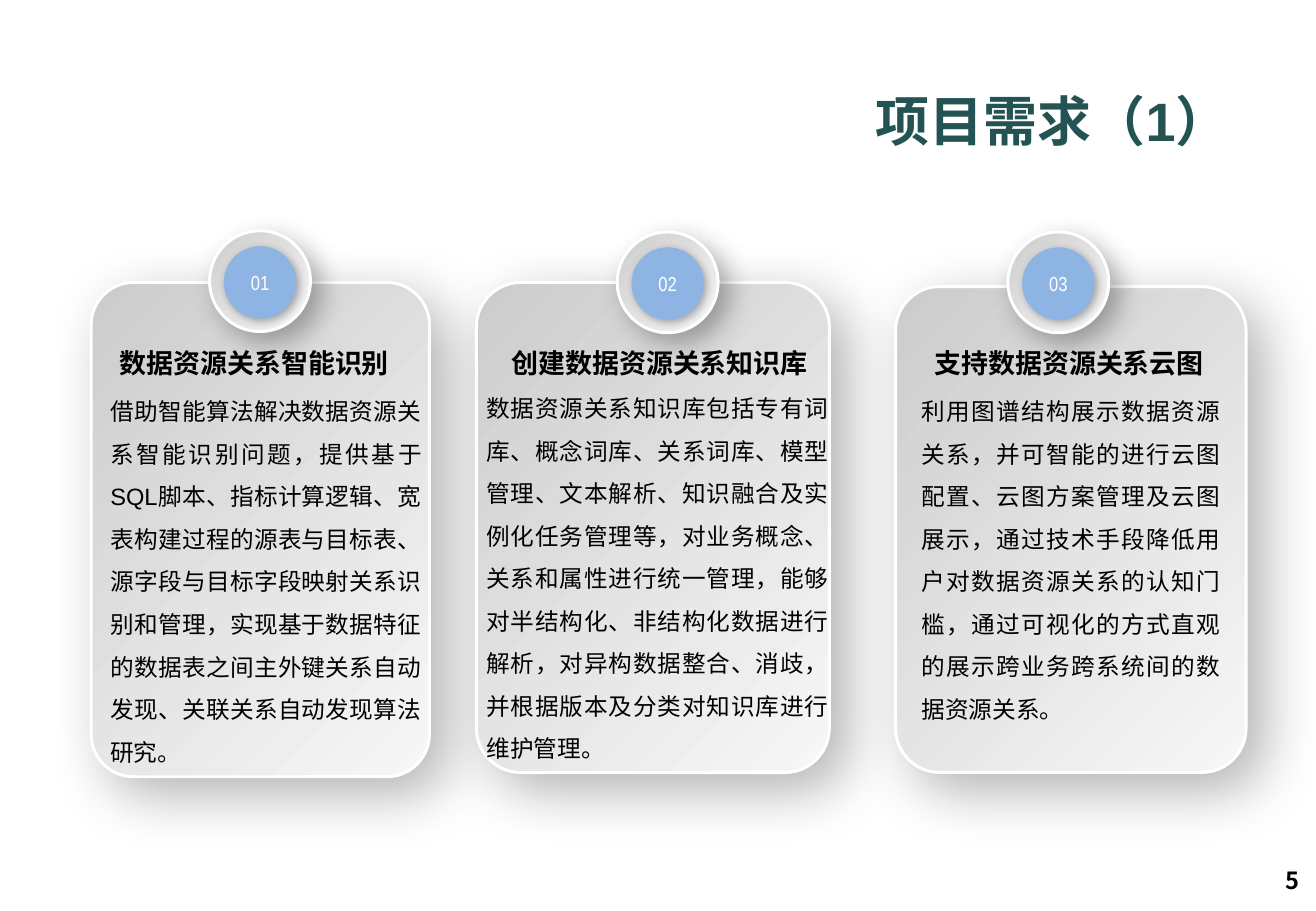
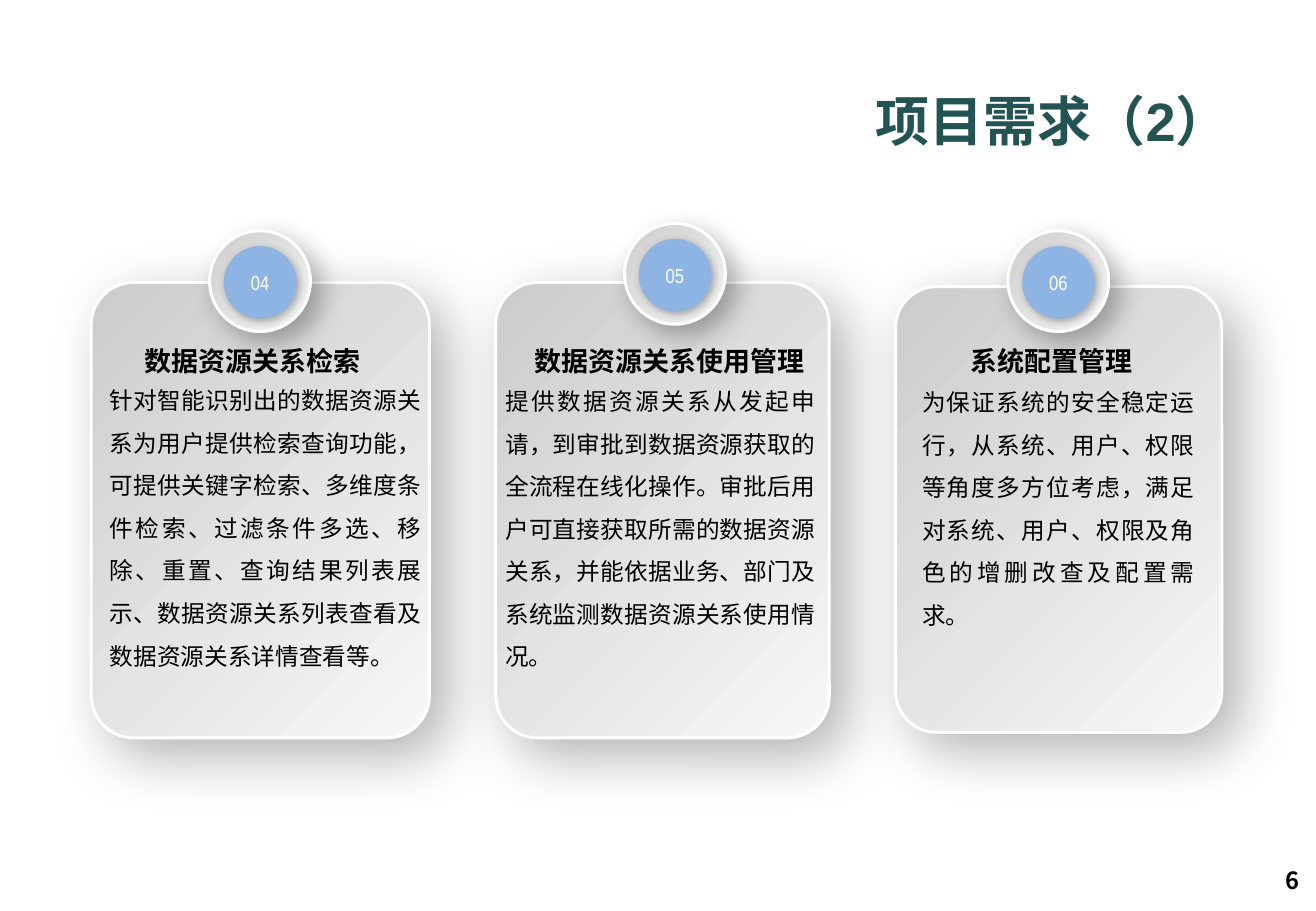
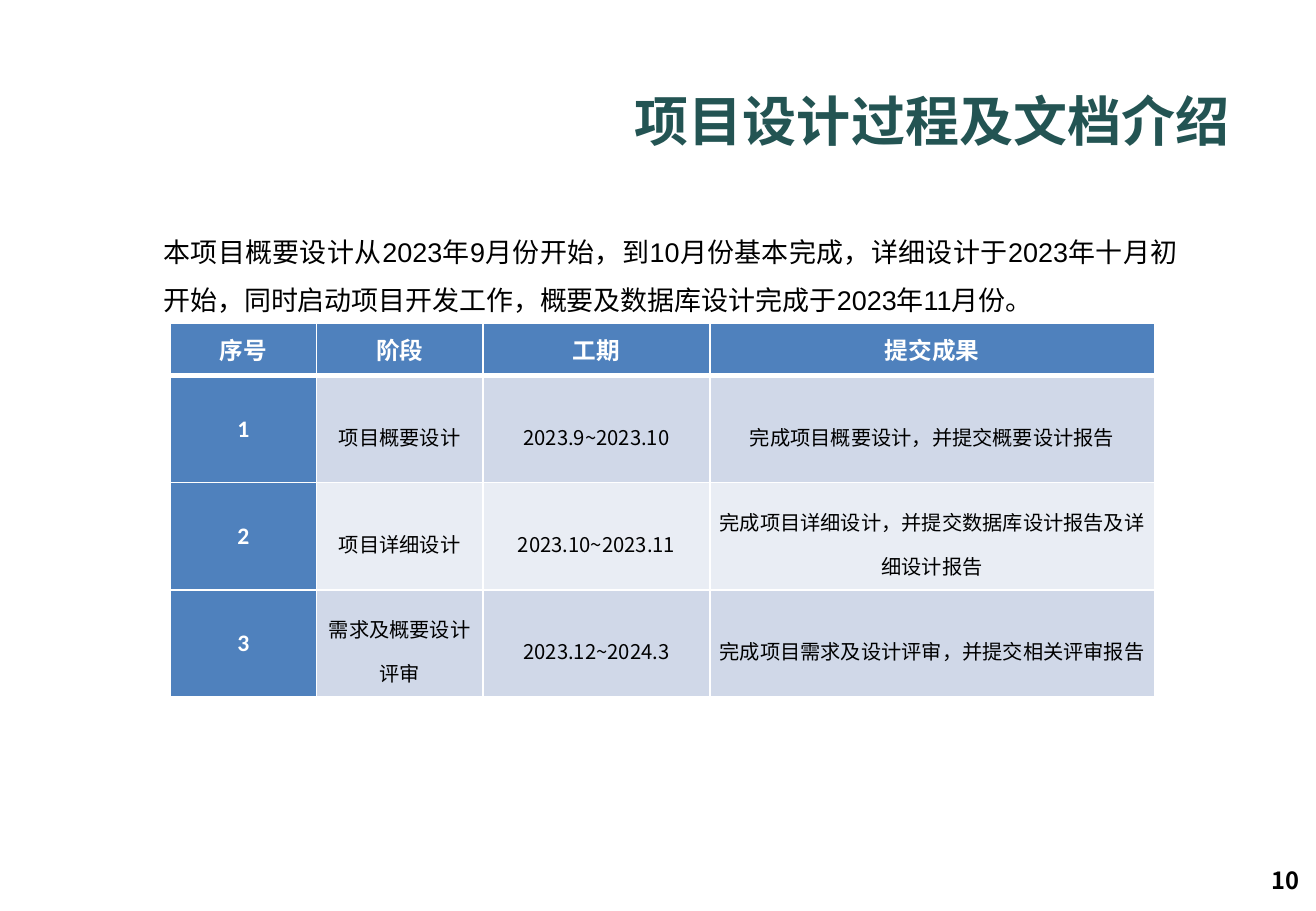
from dataclasses import dataclass, field
from typing import Any

from lxml import etree
from pptx import Presentation
from pptx.dml.color import RGBColor
from pptx.enum.shapes import MSO_SHAPE
from pptx.enum.text import MSO_ANCHOR, MSO_AUTO_SIZE, PP_ALIGN
from pptx.oxml.ns import qn
from pptx.util import Emu, Pt

LEFT, CENTER, RIGHT, JUSTIFY = PP_ALIGN.LEFT, PP_ALIGN.CENTER, PP_ALIGN.RIGHT, PP_ALIGN.JUSTIFY
TOP, MIDDLE = MSO_ANCHOR.TOP, MSO_ANCHOR.MIDDLE
NO_AUTOFIT = MSO_AUTO_SIZE.NONE
ROUNDED, OVAL = MSO_SHAPE.ROUNDED_RECTANGLE, MSO_SHAPE.OVAL

CELL = 91440
PAGE_COLUMNS, PAGE_ROWS = 108.3, 75
TITLE_AND_BODY, TITLE_ONLY = 1, 5

BLACK, WHITE = "000000", "FFFFFF"
TEAL, BADGE_BLUE, HEADER_BLUE = "235453", "8EB4E3", "4F81BD"
BANDS = ("D0D8E8", "E9EDF4")
GRADIENT = ("CCCCCC", "F7F7F7")
CJK_FONT = "Noto Sans CJK SC"


@dataclass(frozen=True)
class Area:
    column: float
    row: float
    columns: float
    rows: float

    def lengths(self) -> list[Emu]:
        return [cells(value) for value in (self.column, self.row, self.columns, self.rows)]


@dataclass(frozen=True)
class Style:
    size: float
    name: str = "Arial"
    color: str = BLACK
    bold: bool = False
    align: Any = LEFT
    spacing: float = 1.0


@dataclass(frozen=True)
class Frame:
    anchor: Any = TOP
    side: float = 1
    edge: float = 0.5

    def values(self) -> dict[str, Any]:
        return {
            "margin_left": cells(self.side), "margin_right": cells(self.side),
            "margin_top": cells(self.edge), "margin_bottom": cells(self.edge),
            "vertical_anchor": self.anchor,
        }


@dataclass(frozen=True)
class Shadow:
    blur: float
    distance: float


@dataclass(frozen=True)
class Card:
    number: str
    heading: str
    body: str
    panel: Area
    badge: tuple[float, float]
    heading_span: tuple[float, float]
    body_area: Area


@dataclass(frozen=True)
class CardPage:
    title: str
    number: str
    heading_row: float
    cards: list[Card] = field(default_factory=list)


TITLE_STYLE = Style(32, color=TEAL, bold=True, align=RIGHT)
PAGE_NUMBER_STYLE = Style(14, CJK_FONT, bold=True, align=RIGHT)
BADGE_STYLE = Style(12, "Arial Narrow", WHITE, align=CENTER)
HEADING_STYLE = Style(16, CJK_FONT, bold=True, align=CENTER)
CARD_STYLE = Style(14, align=JUSTIFY, spacing=1.5)
INTRO_STYLE = Style(16, align=JUSTIFY, spacing=1.5)
LABEL_STYLE = Style(14, "Calibri", WHITE, True, CENTER)
VALUE_STYLE = Style(12, CJK_FONT, align=CENTER, spacing=1.5)

TITLE_AREA = Area(25, 6.7, 77.2, 6.4)
PAGE_NUMBER_AREA = Area(82.6, 70.4, 25.3, 4.1)
INTRO_AREA = Area(12.45, 17.5, 85.45, 9.1)
TABLE_AREA = Area(14, 26.6, 81, 30.8)
TABLE_COLUMNS = (12.05, 13.7, 18.7, 36.55)
TABLE_ROWS = (4.33, 8.82, 8.82, 8.82)
HEADING_ROWS = 3.7
RING_SIZE, DISC_SIZE = 8.3, 5.8
DISC_OFFSET = (1.25, 1.35)

PANEL_SHADOW, RING_SHADOW, DISC_SHADOW = Shadow(35, 14), Shadow(16, 8), Shadow(5, 2)

CARD_PAGES = [
    CardPage("项目需求（1）", "5", 28, [
        Card("01", "数据资源关系智能识别",
             "借助智能算法解决数据资源关系智能识别问题，提供基于SQL脚本、指标计算逻辑、宽表构建过程的源表与目标表、"
             "源字段与目标字段映射关系识别和管理，实现基于数据特征的数据表之间主外键关系自动发现、关联关系自动发现算法研究。",
             Area(7.5, 23.25, 27.85, 40.7), (17.25, 19), (8.1, 25.7), Area(8.1, 31.05, 27.6, 40.1)),
        Card("02", "创建数据资源关系知识库",
             "数据资源关系知识库包括专有词库、概念词库、关系词库、模型管理、文本解析、知识融合及实例化任务管理等，"
             "对业务概念、关系和属性进行统一管理，能够对半结构化、非结构化数据进行解析，对异构数据整合、消歧，"
             "并根据版本及分类对知识库进行维护管理。",
             Area(39.2, 23.25, 29.05, 40.35), (50.8, 19.1), (40.95, 26.7), Area(39.05, 30.8, 30.1, 32.8)),
        Card("03", "支持数据资源关系云图",
             "利用图谱结构展示数据资源关系，并可智能的进行云图配置、云图方案管理及云图展示，"
             "通过技术手段降低用户对数据资源关系的认知门槛，通过可视化的方式直观的展示跨业务跨系统间的数据资源关系。",
             Area(73.7, 23.6, 28.85, 40), (82.95, 19.1), (75.2, 25.6), Area(74.85, 31.05, 26.6, 29.3)),
    ]),
    CardPage("项目需求（2）", "6", 27.85, [
        Card("04", "数据资源关系检索",
             "针对智能识别出的数据资源关系为用户提供检索查询功能，可提供关键字检索、多维度条件检索、"
             "过滤条件多选、移除、重置、查询结果列表展示、数据资源关系列表查看及数据资源关系详情查看等。",
             Area(7.5, 23.25, 27.85, 37.5), (17.25, 19), (7.95, 25.7), Area(8.05, 30.15, 27.6, 25.7)),
        Card("05", "数据资源关系使用管理",
             "提供数据资源关系从发起申请，到审批到数据资源获取的全流程在线化操作。审批后用户可直接获取所需的数据资源关系，"
             "并能依据业务、部门及系统监测数据资源关系使用情况。",
             Area(40.8, 23.25, 27.45, 37.5), (51.4, 18.4), (42.65, 24.9), Area(40.6, 30.2, 27.5, 22.2)),
        Card("06", "系统配置管理",
             "为保证系统的安全稳定运行，从系统、用户、权限等角度多方位考虑，满足对系统、用户、权限及角色的增删改查及配置需求。",
             Area(73.7, 23.6, 26.85, 36.7), (82.95, 19), (77, 19.1), Area(74.9, 30.3, 24.4, 18.7)),
    ]),
]

INTRO = (
    "本项目概要设计从2023年9月份开始，到10月份基本完成，详细设计于2023年十月初开始，"
    "同时启动项目开发工作，概要及数据库设计完成于2023年11月份。"
)
SCHEDULE = [
    ("序号", "阶段", "工期", "提交成果"),
    ("1", "项目概要设计", "2023.9~2023.10", "完成项目概要设计，并提交概要设计报告"),
    ("2", "项目详细设计", "2023.10~2023.11", "完成项目详细设计，并提交数据库设计报告及详细设计报告"),
    ("3", "需求及概要设计评审", "2023.12~2024.3", "完成项目需求及设计评审，并提交相关评审报告"),
]


def cells(count: float) -> Emu:
    return Emu(round(count * CELL))


def color(code: str) -> RGBColor:
    return RGBColor.from_string(code)


def assign(target: Any, values: dict[str, Any]) -> None:
    for name, value in values.items():
        setattr(target, name, value)


def place(box: Any, area: Area) -> None:
    assign(box, dict(zip(("left", "top", "width", "height"), area.lengths())))


def write(text_frame: Any, text: str, style: Style) -> None:
    para = text_frame.paragraphs[0]
    para._p.get_or_add_pPr().set("hangingPunct", "0")
    assign(para, {"alignment": style.align, "line_spacing": style.spacing,
                  "space_before": Pt(0), "space_after": Pt(0)})
    span = para.add_run()
    span.text = text
    assign(span.font, {"size": Pt(style.size), "name": style.name, "bold": style.bold})
    span.font.color.rgb = color(style.color)
    properties = span.font._element
    properties.set("lang", "zh-CN")
    etree.SubElement(properties, qn("a:ea"), typeface=CJK_FONT)


def fill_box(box: Any, text: str, style: Style, frame: Frame) -> None:
    text_frame = box.text_frame
    assign(text_frame, {"word_wrap": True, "auto_size": NO_AUTOFIT, **frame.values()})
    write(text_frame, text, style)


def add_text(page: Any, area: Area, text: str, style: Style, frame: Frame = Frame()) -> None:
    fill_box(page.shapes.add_textbox(*area.lengths()), text, style, frame)


def add_shadowed(page: Any, kind: Any, area: Area, fills: tuple[str, ...],
                 line: tuple[str, float], shadow: Shadow) -> Any:
    shape = page.shapes.add_shape(kind, *area.lengths())
    if len(fills) == 1:
        shape.fill.solid()
        shape.fill.fore_color.rgb = color(fills[0])
    else:
        shape.fill.gradient()
        shape.fill.gradient_angle = 315
        for stop, code in zip(shape.fill.gradient_stops, fills):
            stop.color.rgb = color(code)
    shape.line.color.rgb = color(line[0])
    shape.line.width = Pt(line[1])
    shape.shadow.inherit = False
    effects = shape._element.spPr.find(qn("a:effectLst"))
    outer = etree.SubElement(
        effects, qn("a:outerShdw"), blurRad=str(Pt(shadow.blur)), dist=str(Pt(shadow.distance)),
        dir="2700000", algn="tl", rotWithShape="0")
    tint = etree.SubElement(outer, qn("a:srgbClr"), val=BLACK)
    etree.SubElement(tint, qn("a:alpha"), val="30000")
    return shape


def add_card(page: Any, card: Card, heading_row: float) -> None:
    panel = add_shadowed(page, ROUNDED, card.panel, GRADIENT, (WHITE, 1.75), PANEL_SHADOW)
    panel.adjustments[0] = 0.126
    column, row = card.badge
    add_shadowed(page, OVAL, Area(column, row, RING_SIZE, RING_SIZE), GRADIENT,
                 (WHITE, 1.75), RING_SHADOW)
    disc_area = Area(column + DISC_OFFSET[0], row + DISC_OFFSET[1], DISC_SIZE, DISC_SIZE)
    disc = add_shadowed(page, OVAL, disc_area, (BADGE_BLUE,), (BADGE_BLUE, 1.25), DISC_SHADOW)
    fill_box(disc, card.number, BADGE_STYLE, Frame(MIDDLE, 0, 0))
    left, width = card.heading_span
    add_text(page, Area(left, heading_row, width, HEADING_ROWS), card.heading, HEADING_STYLE)
    add_text(page, card.body_area, card.body, CARD_STYLE)


def add_page(deck: Any, layout: int, title: str, number: str) -> Any:
    page = deck.slides.add_slide(deck.slide_layouts[layout])
    place(page.shapes.title, TITLE_AREA)
    fill_box(page.shapes.title, title, TITLE_STYLE, Frame(MIDDLE))
    add_text(page, PAGE_NUMBER_AREA, number, PAGE_NUMBER_STYLE, Frame(MIDDLE))
    return page


def add_intro(page: Any) -> None:
    body = page.placeholders[1]
    place(body, INTRO_AREA)
    properties = body.text_frame.paragraphs[0]._p.get_or_add_pPr()
    for name in ("marL", "indent"):
        properties.set(name, "0")
    etree.SubElement(properties, qn("a:buNone"))
    fill_box(body, INTRO, INTRO_STYLE, Frame(MIDDLE))


def add_borders(cell: Any, widths: dict[str, float]) -> None:
    properties = cell._tc.get_or_add_tcPr()
    for side, width in widths.items():
        line = etree.SubElement(properties, qn(f"a:{side}"), w=str(Pt(width)))
        solid = etree.SubElement(line, qn("a:solidFill"))
        etree.SubElement(solid, qn("a:srgbClr"), val=WHITE)


def add_schedule(page: Any) -> None:
    table = page.shapes.add_table(len(TABLE_ROWS), len(TABLE_COLUMNS), *TABLE_AREA.lengths()).table
    table.horz_banding = False
    for column, width in zip(table.columns, TABLE_COLUMNS):
        column.width = cells(width)
    for row, height in zip(table.rows, TABLE_ROWS):
        row.height = cells(height)
    for row_index, texts in enumerate(SCHEDULE):
        for column_index, text in enumerate(texts):
            cell = table.cell(row_index, column_index)
            is_label = row_index == 0 or column_index == 0
            add_borders(cell, {"lnL": 1, "lnR": 1, "lnT": 3 if row_index == 1 else 1,
                               "lnB": 3 if row_index == 0 else 1})
            cell.fill.solid()
            cell.fill.fore_color.rgb = color(HEADER_BLUE if is_label else BANDS[(row_index - 1) % 2])
            assign(cell, Frame(MIDDLE, 0.7, 0).values())
            write(cell.text_frame, text, LABEL_STYLE if is_label else VALUE_STYLE)


def main() -> None:
    deck = Presentation()
    assign(deck, {"slide_width": cells(PAGE_COLUMNS), "slide_height": cells(PAGE_ROWS)})
    for card_page in CARD_PAGES:
        page = add_page(deck, TITLE_ONLY, card_page.title, card_page.number)
        for card in card_page.cards:
            add_card(page, card, card_page.heading_row)
    page = add_page(deck, TITLE_AND_BODY, "项目设计过程及文档介绍", "10")
    add_schedule(page)
    add_intro(page)
    deck.save("out.pptx")


if __name__ == "__main__":
    main()
